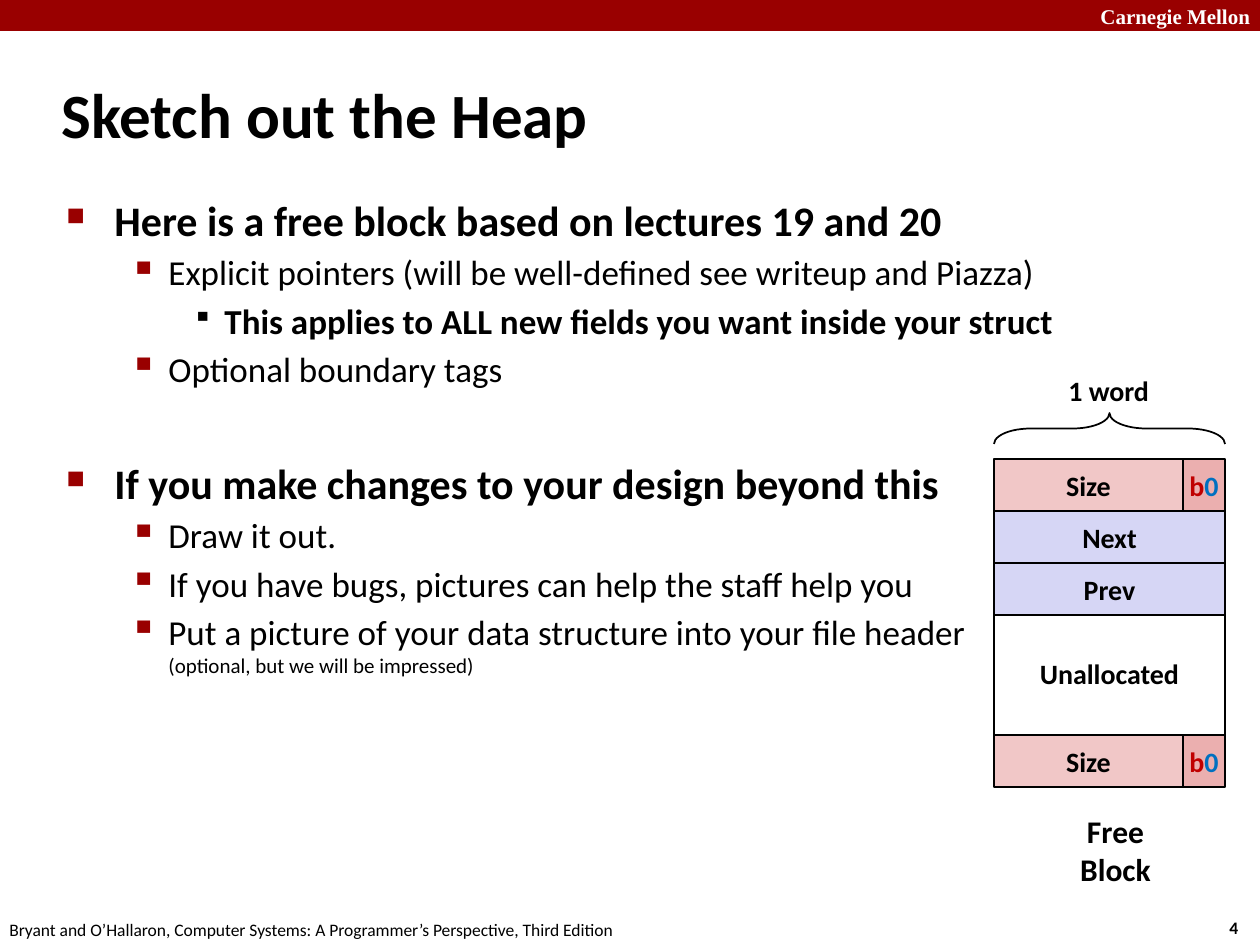
from lxml import etree
from pptx import Presentation
from pptx import util as u
from pptx.dml.color import RGBColor
from pptx.enum import shapes, text
from pptx.oxml import ns

EMU_PER_INCH, PX_PER_INCH = 914400, 126
COLORS = {
    "black": "000000", "white": "FFFFFF", "crimson": "990000",
    "size": "F1C7C7", "flags": "EBAFAF", "pointer": "D6D6F5",
    "bit": "C00000", "zero": "0070C0",
}
# Outline level: hanging-indent px, bullet, its colour and size, text format
LEVELS = [
    {"indent": (48, 48), "bullet": ("■", "crimson", 60), "size": 24, "bold": True},
    {"indent": (102, 39), "bullet": ("▪", "crimson", 110), "size": 20, "bold": False},
    {"indent": (158, 32), "bullet": ("▪", "black", 80), "size": 20, "bold": True},
]
# Level, text, space before in points
OUTLINE = [
    (0, "Here is a free block based on lectures 19 and 20", 0),
    (1, "Explicit pointers (will be well-defined see writeup and Piazza)", 3.6),
    (2, "This applies to ALL new fields you want inside your struct", 3.6),
    (1, "Optional boundary tags", 3.6),
    (0, "If you make changes to your design beyond this", 38.6),
    (1, "Draw it out.", 3.6),
    (1, "If you have bugs, pictures can help the staff help you", 3.6),
    (1, "Put a picture of your data structure into your file header", 3.6),
]
OUTLINE_REMARK = "(optional, but we will be impressed)"


def px(length):
    return u.Emu(round(length * EMU_PER_INCH / PX_PER_INCH))


def rgb(name):
    return RGBColor.from_string(COLORS[name])


class HeapSlide:
    def __init__(self, prs, font="Calibri"):
        self.slide = prs.slides.add_slide(prs.slide_layouts[6])
        self.font = font

    def add_words(self, paragraph, words, size, bold=True, color="black", font=None):
        run = paragraph.add_run()
        run.text = words
        formats = {"name": font or self.font, "size": u.Pt(size), "bold": bold}
        for attribute, value in formats.items():
            setattr(run.font, attribute, value)
        run.font.color.rgb = rgb(color)

    def label(self, box, lines, size, align=text.PP_ALIGN.LEFT, wrap=False,
              anchor=text.MSO_ANCHOR.TOP, **style):
        frame = self.slide.shapes.add_textbox(*map(px, box)).text_frame
        frame.word_wrap, frame.vertical_anchor = wrap, anchor
        for index, line in enumerate(lines):
            paragraph = frame.paragraphs[0] if index == 0 else frame.add_paragraph()
            paragraph.alignment = align
            self.add_words(paragraph, line, size, **style)

    def shape(self, kind, box, fill=None, line="black"):
        figure = self.slide.shapes.add_shape(kind, *map(px, box))
        figure.shadow.inherit = False
        if fill:
            figure.fill.solid()
            figure.fill.fore_color.rgb = rgb(fill)
        else:
            figure.fill.background()
        if line:
            figure.line.color.rgb = rgb(line)
            figure.line.width = u.Pt(1)
        else:
            figure.line.fill.background()
        return figure

    def cell(self, box, runs, fill=None, top_inset=6):
        """Draw one field of the heap block; runs are (text, colour) pairs."""
        frame = self.shape(shapes.MSO_SHAPE.RECTANGLE, box, fill).text_frame
        formats = {"word_wrap": False, "vertical_anchor": text.MSO_ANCHOR.MIDDLE,
                   "margin_top": px(top_inset)}
        for attribute, value in formats.items():
            setattr(frame, attribute, value)
        paragraph = frame.paragraphs[0]
        paragraph.alignment = text.PP_ALIGN.CENTER
        for words, color in runs:
            self.add_words(paragraph, words, 16, color=color)

    def brace(self, box):
        figure = self.shape(shapes.MSO_SHAPE.RIGHT_BRACE, box)
        figure.rotation = 270
        figure.adjustments[0], figure.adjustments[1] = 1.19, 0.5

    def bullet(self, paragraph, indent, mark):
        margin, hang = indent
        char, color, percent = mark
        props = paragraph._p.get_or_add_pPr()
        props.set("marL", str(px(margin)))
        props.set("indent", str(-px(hang)))
        tint = etree.SubElement(props, ns.qn("a:buClr"))
        etree.SubElement(tint, ns.qn("a:srgbClr"), val=COLORS[color])
        etree.SubElement(props, ns.qn("a:buSzPct"), val=str(percent * 1000))
        etree.SubElement(props, ns.qn("a:buChar"), char=char)

    def outline(self, box, items, remark):
        frame = self.slide.shapes.add_textbox(*map(px, box)).text_frame
        frame.word_wrap = True
        for index, (level, words, gap) in enumerate(items):
            paragraph = frame.paragraphs[0] if index == 0 else frame.add_paragraph()
            style = LEVELS[level]
            paragraph.level = level
            self.bullet(paragraph, style["indent"], style["bullet"])
            paragraph.space_before = u.Pt(gap)
            self.add_words(paragraph, words, style["size"], style["bold"])
        paragraph.add_line_break()
        self.add_words(paragraph, remark, 12, False)


def draw_free_block(page):
    left, top, width, row = 994, 459, 231, 52
    size_width = 189
    footer_top = 735
    pointers_top = top + row
    page.cell((left, pointers_top, width, footer_top - pointers_top),
              [("Unallocated", "black")], top_inset=106)
    for tag_top in (top, footer_top):
        page.cell((left, tag_top, size_width, row), [("Size", "black")], "size")
        page.cell((left + size_width, tag_top, width - size_width, row),
                  [("b", "bit"), ("0", "zero")], "flags")
    for index, pointer in enumerate(("Next", "Prev")):
        page.cell((left, pointers_top + index * row, width, row),
                  [(pointer, "black")], "pointer")
    page.label((1056, 367, 107, 46), ["1 word"], 16)
    page.brace((1094, 313, 31, width))
    page.label((1067, 806, 97, 90), ["Free", "Block"], 18, text.PP_ALIGN.CENTER)


def main():
    prs = Presentation()
    prs.slide_width, prs.slide_height = px(1260), px(945)
    page = HeapSlide(prs)
    page.shape(shapes.MSO_SHAPE.RECTANGLE, (0, 0, 1260, 31), "crimson", None)
    page.label((1088, -3, 180, 38), ["Carnegie Mellon"], 12, wrap=True,
               color="white", font="Times New Roman")
    page.label((1217, 911, 47, 34), ["4"], 10)
    page.label((-3, 913, 640, 34),
               ["Bryant and O’Hallaron, Computer Systems: "
                "A Programmer’s Perspective, Third Edition"], 10, bold=False)
    page.label((49, 61, 1046, 105), ["Sketch out the Heap"], 36, wrap=True,
               anchor=text.MSO_ANCHOR.MIDDLE)
    page.outline((54, 188, 1089, 685), OUTLINE, OUTLINE_REMARK)
    draw_free_block(page)
    prs.save("out.pptx")


if __name__ == "__main__":
    main()
